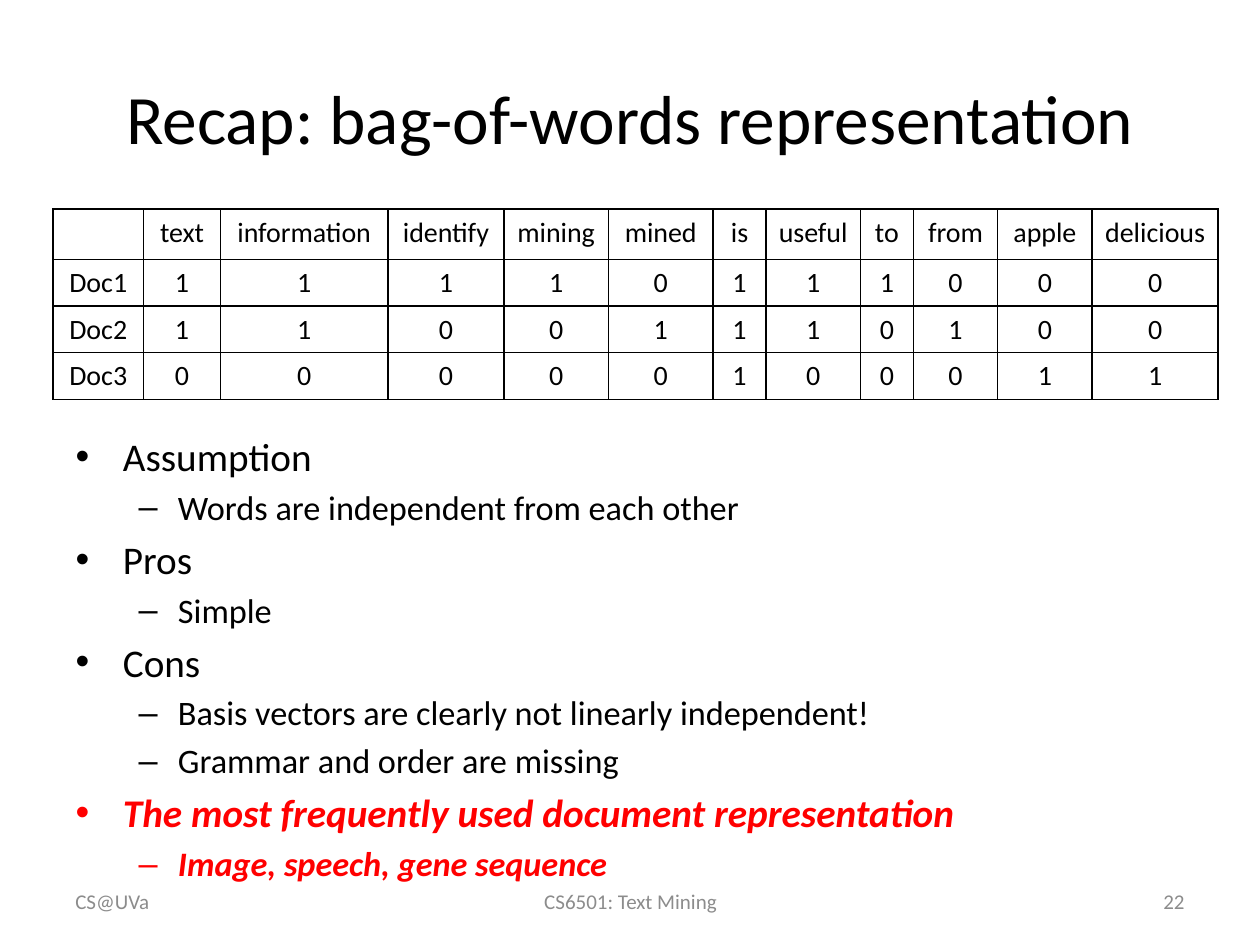
from lxml import etree
from pptx import Presentation
from pptx.dml.color import RGBColor
from pptx.enum.text import MSO_ANCHOR, MSO_AUTO_SIZE, PP_ALIGN
from pptx.oxml.ns import qn
from pptx.util import Inches, Pt

LEFT, CENTER, RIGHT = PP_ALIGN.LEFT, PP_ALIGN.CENTER, PP_ALIGN.RIGHT
MIDDLE = MSO_ANCHOR.MIDDLE
NO_FIT = MSO_AUTO_SIZE.NONE
COLORS = {"text": "000000", "accent": "FF0000", "footer": "8C8C8C"}

WORDS = ["", "text", "information", "identify", "mining", "mined", "is",
         "useful", "to", "from", "apple", "delicious"]
WIDTHS = [0.72, 0.61, 1.33, 0.92, 0.83, 0.83, 0.42, 0.75, 0.42, 0.67, 0.75, 1]
DOCS = {"Doc1": "11110111000", "Doc2": "11001110100", "Doc3": "00000100011"}
ROWS = [WORDS] + [[name, *counts] for name, counts in DOCS.items()]

POINTS = [
    (0, "Assumption", "text"),
    (1, "Words are independent from each other", "text"),
    (0, "Pros", "text"),
    (1, "Simple", "text"),
    (0, "Cons", "text"),
    (1, "Basis vectors are clearly not linearly independent!", "text"),
    (1, "Grammar and order are missing", "text"),
    (0, "The most frequently used document representation", "accent"),
    (1, "Image, speech, gene sequence", "accent"),
]
FOOTERS = [
    (0.5, 2.33, "CS@UVa", LEFT),
    (3.42, 3.17, "CS6501: Text Mining", CENTER),
    (7.17, 2.33, "22", RIGHT),
]


class Deck:
    font = "Calibri"

    def __init__(self, slide):
        self.slide = slide

    def style(self, para, size, color="text", align=None):
        para.font.name = self.font
        para.font.size = Pt(size)
        para.font.color.rgb = RGBColor.from_string(COLORS[color])
        para.alignment = align

    def place(self, shape, left, top, width, height):
        shape.left, shape.top = Inches(left), Inches(top)
        shape.width, shape.height = Inches(width), Inches(height)

    def title(self, text, box):
        shape = self.slide.shapes.title
        self.place(shape, *box)
        frame = shape.text_frame
        frame.auto_size = NO_FIT
        frame.vertical_anchor = MIDDLE
        frame.text = text
        self.style(frame.paragraphs[0], 39.6, align=CENTER)

    def bullets(self, points, box):
        shape = self.slide.placeholders[1]
        self.place(shape, *box)
        frame = shape.text_frame
        frame.auto_size = NO_FIT
        frame.text = "\n".join(text for _, text, _ in points)
        for para, (level, _, color) in zip(frame.paragraphs, points):
            para.level = level
            self.style(para, 19.6 if level else 22.4, color)
            if color == "accent":
                para.font.bold = para.font.italic = True

    def label(self, text, box, align):
        shape = self.slide.shapes.add_textbox(*map(Inches, box))
        frame = shape.text_frame
        frame.word_wrap = True
        frame.vertical_anchor = MIDDLE
        frame.text = text
        self.style(frame.paragraphs[0], 12, "footer", align)

    def border(self, cell):
        props = cell._tc.get_or_add_tcPr()
        for side in ("lnL", "lnR", "lnT", "lnB"):
            line = etree.SubElement(props, qn("a:" + side), w=str(Pt(1)))
            fill = etree.SubElement(line, qn("a:solidFill"))
            etree.SubElement(fill, qn("a:srgbClr"), val=COLORS["text"])

    def table(self, rows, widths, heights, left, top):
        size = map(Inches, (left, top, sum(widths), sum(heights)))
        table = self.slide.shapes.add_table(len(rows), len(widths), *size).table
        table.first_row = table.horz_banding = False
        for col, width in zip(table.columns, widths):
            col.width = Inches(width)
        for row, height, texts in zip(table.rows, heights, rows):
            row.height = Inches(height)
            for cell, text in zip(row.cells, texts):
                cell.text = text
                cell.margin_left = cell.margin_right = Inches(0.05)
                self.border(cell)
                cell.fill.background()
                self.style(cell.text_frame.paragraphs[0], 16, align=CENTER)


prs = Presentation()
prs.slide_width, prs.slide_height = Inches(10), Inches(7.5)
deck = Deck(prs.slides.add_slide(prs.slide_layouts[1]))
deck.title("Recap: bag-of-words representation", (0.5, 0.3, 9, 1.25))
deck.bullets(POINTS, (0.5, 3.38, 9, 3.37))
for left, width, text, align in FOOTERS:
    deck.label(text, (left, 6.95, width, 0.4), align)
deck.table(ROWS, WIDTHS, [0.4] + [0.37] * len(DOCS), 0.42, 1.66)
prs.save("out.pptx")
